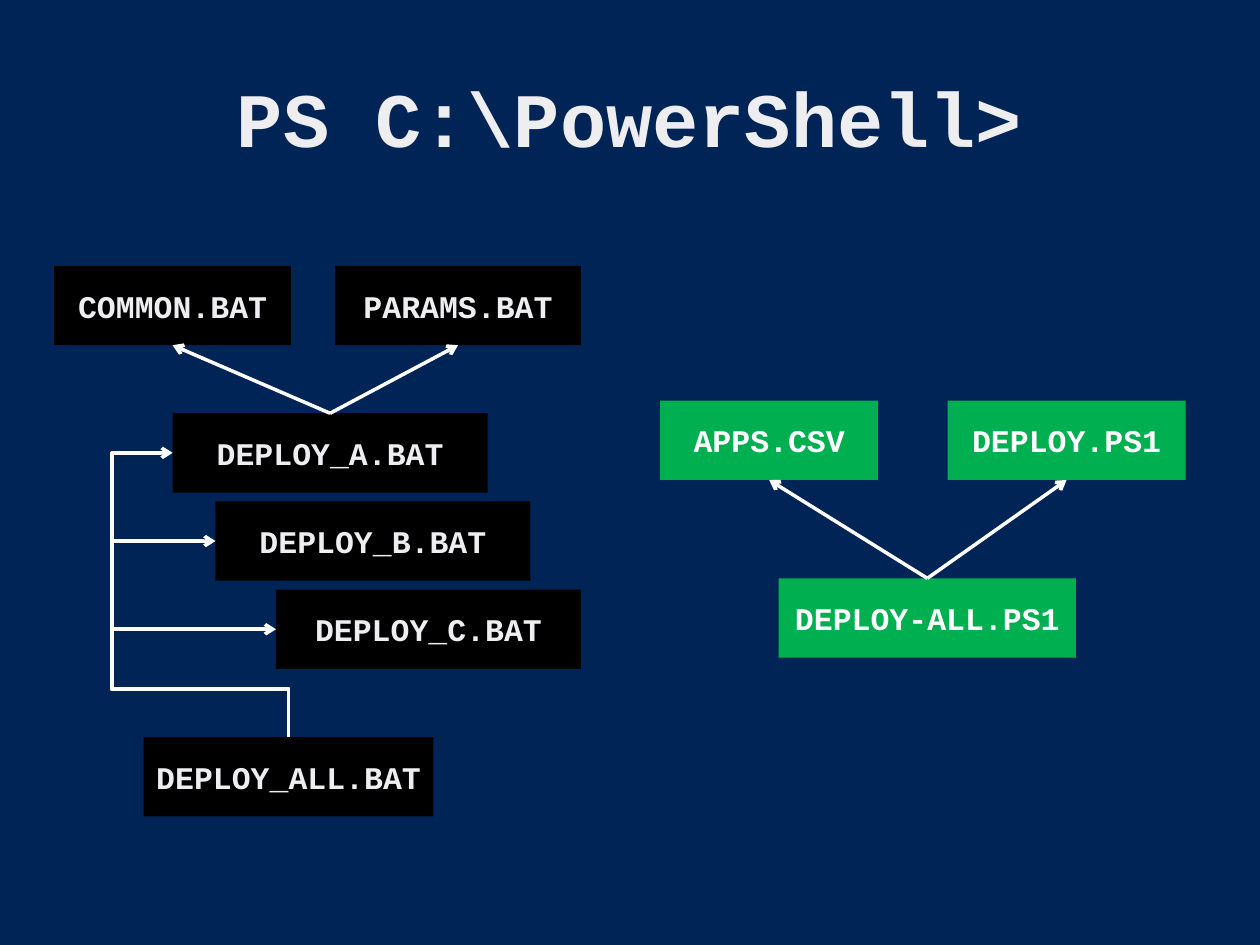
"""Build a slide comparing batch file and PowerShell deployment scripts."""
from lxml import etree
from pptx import Presentation
from pptx.dml.color import RGBColor
from pptx.enum.shapes import MSO_CONNECTOR, MSO_SHAPE
from pptx.enum.text import MSO_ANCHOR, PP_ALIGN
from pptx.oxml.ns import qn
from pptx.util import Inches, Pt

RECTANGLE = MSO_SHAPE.RECTANGLE
STRAIGHT, ELBOW = MSO_CONNECTOR.STRAIGHT, MSO_CONNECTOR.ELBOW
MIDDLE, CENTER = MSO_ANCHOR.MIDDLE, PP_ALIGN.CENTER
TOP_SITE, LEFT_SITE, BOTTOM_SITE = 0, 1, 2

COLORS = {"background": "012456", "batch": "000000", "batch_text": "EEEDF0",
          "powershell": "00B050", "powershell_text": "FFFFFF", "arrow": "FFFFFF"}
TITLE = "PS C:\\PowerShell>"
FILE_HEIGHT = 0.63
FILES = {
    "batch": [
        ("COMMON.BAT", 0.43, 2.11, 1.88),
        ("PARAMS.BAT", 2.66, 2.11, 1.95),
        ("DEPLOY_A.BAT", 1.37, 3.28, 2.5),
        ("DEPLOY_B.BAT", 1.71, 3.98, 2.5),
        ("DEPLOY_C.BAT", 2.19, 4.68, 2.42),
        ("DEPLOY_ALL.BAT", 1.14, 5.85, 2.3),
    ],
    "powershell": [
        ("APPS.CSV", 5.24, 3.18, 1.73),
        ("DEPLOY.PS1", 7.52, 3.18, 1.89),
        ("DEPLOY-ALL.PS1", 6.18, 4.59, 2.36),
    ],
}
USES = [
    ("DEPLOY_A.BAT", ["COMMON.BAT", "PARAMS.BAT"]),
    ("DEPLOY-ALL.PS1", ["APPS.CSV", "DEPLOY.PS1"]),
]
CALLER = "DEPLOY_ALL.BAT"
CALLED = ["DEPLOY_A.BAT", "DEPLOY_B.BAT", "DEPLOY_C.BAT"]
RAIL_X, TURN_Y = Inches(0.89), Inches(5.47)


def rgb(name):
    return RGBColor.from_string(COLORS[name])


def write(holder, text, size, color):
    frame = holder.text_frame
    frame.word_wrap = True
    frame.vertical_anchor = MIDDLE
    paragraph = frame.paragraphs[0]
    paragraph.alignment = CENTER
    run = paragraph.add_run()
    run.text = text
    for key, value in {"name": "Courier New", "size": Pt(size), "bold": True}.items():
        setattr(run.font, key, value)
    run.font.color.rgb = rgb(color)


def add_file(slide, kind, label, left, top, width):
    box = slide.shapes.add_shape(RECTANGLE, Inches(left), Inches(top),
                                 Inches(width), Inches(FILE_HEIGHT))
    box.shadow.inherit = False
    box.fill.solid()
    box.fill.fore_color.rgb = rgb(kind)
    box.line.fill.background()
    write(box, label, 18, kind + "_text")
    box.text_frame.margin_left = box.text_frame.margin_right = Inches(0.05)
    return box


def add_arrow(slide, kind, source, target, target_site):
    arrow = slide.shapes.add_connector(kind, 0, 0, 0, 0)
    arrow.begin_connect(source, TOP_SITE)
    arrow.end_connect(target, target_site)
    arrow.line.color.rgb = rgb("arrow")
    arrow.line.width = Pt(2)
    properties = arrow._element.spPr
    etree.SubElement(properties.find(qn("a:ln")), qn("a:tailEnd"), type="arrow")
    etree.SubElement(properties, qn("a:effectLst"))
    return arrow


def route_by_rail(arrow):
    start_x, start_y, end_x, end_y = arrow.begin_x, arrow.begin_y, arrow.end_x, arrow.end_y
    rise, shift = start_y - end_y, start_x - end_x
    place = {"left": (start_x + end_x - rise) // 2, "top": (start_y + end_y - shift) // 2,
             "width": rise, "height": shift}
    for key, value in place.items():
        setattr(arrow, key, value)
    properties = arrow._element.spPr
    frame = properties.find(qn("a:xfrm"))
    for key, value in {"rot": "16200000", "flipH": "0", "flipV": "1"}.items():
        frame.set(key, value)
    geometry = properties.find(qn("a:prstGeom"))
    geometry.set("prst", "bentConnector4")
    guides = geometry.find(qn("a:avLst"))
    bends = {"adj1": (start_y - TURN_Y) / rise, "adj2": (start_x - RAIL_X) / shift}
    for name, ratio in bends.items():
        etree.SubElement(guides, qn("a:gd"), name=name, fmla=f"val {round(ratio * 100000)}")


def main():
    deck = Presentation()
    deck.slide_width, deck.slide_height = Inches(10), Inches(7.5)
    slide = deck.slides.add_slide(deck.slide_layouts[6])
    slide.background.fill.solid()
    slide.background.fill.fore_color.rgb = rgb("background")
    title = slide.shapes.add_textbox(Inches(0.5), Inches(0.3), Inches(9), Inches(1.25))
    write(title, TITLE, 44, "batch_text")
    boxes = {file[0]: add_file(slide, kind, *file)
             for kind, files in FILES.items() for file in files}
    for user, used in USES:
        for label in used:
            add_arrow(slide, STRAIGHT, boxes[user], boxes[label], BOTTOM_SITE)
    for label in CALLED:
        route_by_rail(add_arrow(slide, ELBOW, boxes[CALLER], boxes[label], LEFT_SITE))
    deck.save("out.pptx")


if __name__ == "__main__":
    main()
